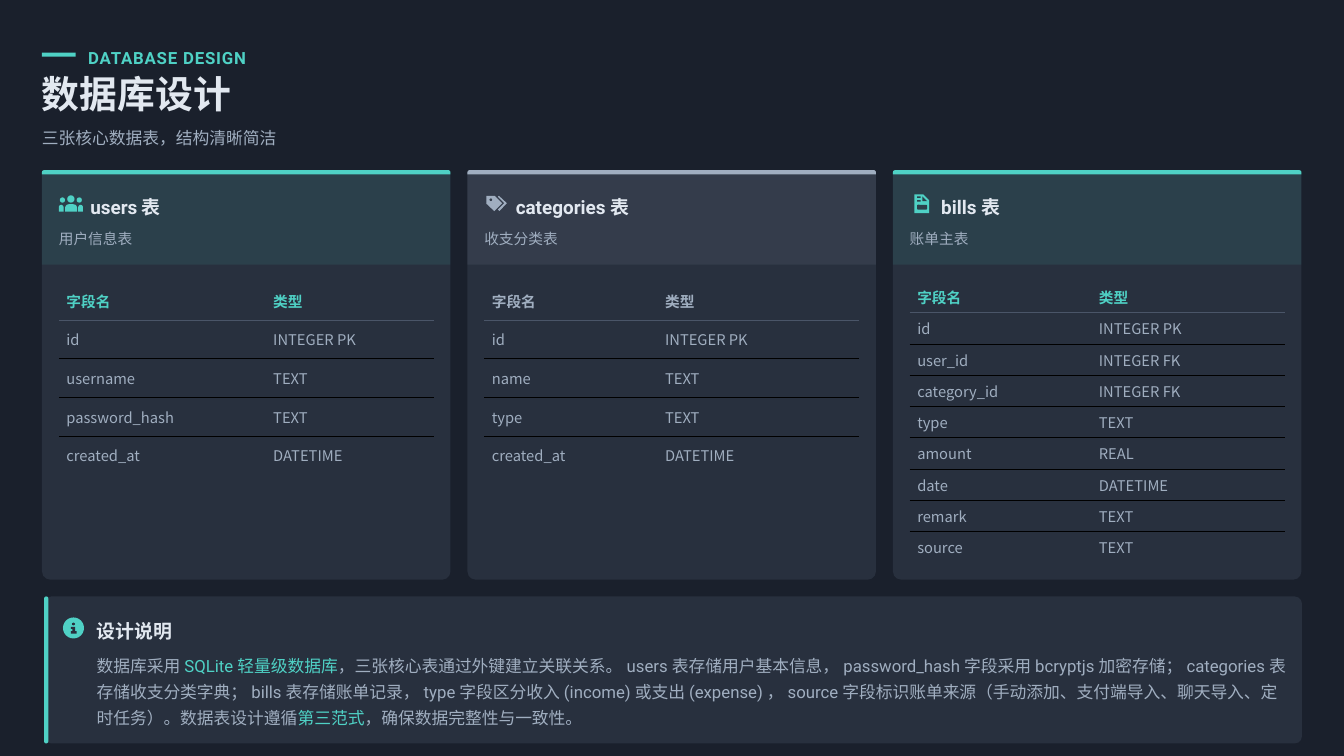
from lxml import etree
from pptx import Presentation
from pptx.dml.color import RGBColor
from pptx.enum.shapes import MSO_SHAPE as Form
from pptx.enum.text import MSO_ANCHOR as Anchor
from pptx.oxml import parse_xml
from pptx.oxml.ns import nsdecls, qn
from pptx.util import Inches, Pt

TEAL, GREY, PALE, LINE = "4FD1C5", "A0AEC0", "E2E8F0", "4A5568"
BACK, CARD = "1A202C", "28303E"
CJK = "Noto Sans CJK SC"
hue = RGBColor.from_string

deck = Presentation()
deck.slide_width, deck.slide_height = Inches(17.78), Inches(10)
unit = deck.slide_width / 1280  # the slide is a grid of 1280 columns
slide = deck.slides.add_slide(deck.slide_layouts[6])
slide.background.fill.solid()
slide.background.fill.fore_color.rgb = hue(BACK)


def draw(form, spot, tint, alpha=100, bends=()):
    """Add a preset at (x, y, w, h), or a polygon through spot if form is None."""
    if form is None:
        pts = [(round(x * unit), round(y * unit)) for x, y in spot]
        pen = slide.shapes.build_freeform(*pts[0], scale=1.0)
        pen.add_line_segments(pts[1:], close=True)
        shape = pen.convert_to_shape()
    else:
        shape = slide.shapes.add_shape(form, *(round(v * unit) for v in spot))
    for i, bend in enumerate(bends):
        shape.adjustments[i] = bend
    shape.shadow.inherit = False
    shape.line.fill.background()
    shape.fill.solid()
    shape.fill.fore_color.rgb = hue(tint)
    if alpha < 100:
        mark = shape.fill._xPr.find(".//" + qn("a:srgbClr"))
        etree.SubElement(mark, qn("a:alpha"), val=str(alpha * 1000))


def write(frame, runs, size, bold=False, face="Roboto", gap=None, spread=0):
    """Put (text, colour) runs into the first paragraph of a frame."""
    para = frame.paragraphs[0]
    para.line_spacing = gap
    for words, tint in runs:
        run = para.add_run()
        run.text = words
        look = {"size": Pt(size), "bold": bold, "name": face}
        for key, val in look.items():
            setattr(run.font, key, val)
        run.font.color.rgb = hue(tint)
        props = run.font._element
        etree.SubElement(props, qn("a:ea"), typeface=CJK)
        if spread:
            props.set("spc", str(spread))


cards = [
    ("users", "用户信息表", TEAL, 30, (197, 160), 36.8,
     ["id INTEGER PK", "username TEXT", "password_hash TEXT", "created_at DATETIME"]),
    ("categories", "收支分类表", GREY, 30, (165, 192), 36.8,
     ["id INTEGER PK", "name TEXT", "type TEXT", "created_at DATETIME"]),
    ("bills", "账单主表", TEAL, 30, (173, 184), 29.8,
     ["id INTEGER PK", "user_id INTEGER FK", "category_id INTEGER FK", "type TEXT",
      "amount REAL", "date DATETIME", "remark TEXT", "source TEXT"]),
]
LEFT, TOP, WIDE, TALL, STEP = 40, 162, 389, 390, 405.2
DOME = Form.ROUND_2_SAME_RECTANGLE

# Icon parts, measured from the corner of their card; True marks a cut-out
icons = {
    "users": [
        (Form.OVAL, (24, 24, 7, 7), False), (Form.OVAL, (17, 26, 5, 5), False),
        (Form.OVAL, (33, 26, 5, 5), False), (DOME, (22, 32.5, 11.5, 7), False),
        (DOME, (16, 33, 4.5, 6.5), False), (DOME, (34.5, 33, 4.5, 6.5), False)],
    "categories": [
        (None, [(18, 24.5), (26, 24.5), (33, 31.5), (25.5, 39), (18, 32)], False),
        (Form.OVAL, (21, 27, 2.5, 2.5), True),
        (None, [(30, 24.5), (37.5, 31.5), (30.5, 39), (29, 37.5), (35, 31.5),
                (29, 25.5)], False)],
    "bills": [
        (Form.SNIP_1_RECTANGLE, (20.5, 23, 14, 18), False),
        (None, [(28, 25), (28, 29.5), (32.5, 29.5)], True),
        (Form.RECTANGLE, (23, 25, 3.5, 1.5), True),
        (Form.RECTANGLE, (23, 28.5, 3.5, 1.5), True),
        (Form.ROUNDED_RECTANGLE, (23, 33, 9.5, 4.5), True)],
}

# Heading rule, note panel and its sign
draw(Form.RECTANGLE, (40, 50, 32, 4), TEAL)
draw(Form.ROUNDED_RECTANGLE, (42, 568, 1198, 140), LINE, 30, (0.05,))
draw(Form.ROUNDED_RECTANGLE, (42, 568, 4, 140), TEAL, 100, (0.5,))
draw(Form.OVAL, (60, 588, 20, 20), TEAL)
draw(Form.OVAL, (68.5, 593, 3, 2.5), CARD)
draw(None, [(67.5, 597), (71.5, 597), (71.5, 601), (73, 601), (73, 603.5),
            (67.5, 603.5), (67.5, 601), (69, 601), (69, 599), (67.5, 599)], CARD)

note = [
    ("数据库采用", GREY), ("SQLite轻量级数据库", TEAL),
    ("，三张核心表通过外键建立关联关系。users表存储用户基本信息，"
     "password_hash字段采用bcryptjs加密存储；categories表存储收支分类字典；"
     "bills表存储账单记录，type字段区分收入(income)或支出(expense)，"
     "source字段标识账单来源（手动添加、支付端导入、聊天导入、定时任务）。"
     "数据表设计遵循", GREY),
    ("第三范式", TEAL), ("，确保数据完整性与一致性。", GREY)]
texts = [
    ((84, 40, 166, 24), [("DATABASE DESIGN", TEAL)], 16, True, 1.3, 80),
    ((40, 72, 1218, 40), [("数据库设计", PALE)], 36, True, 0.9, 0),
    ((40, 116, 1208, 24), [("三张核心数据表，结构清晰简洁", GREY)], 16, False, 1.3, 0),
    ((92, 584, 1141, 28), [("设计说明", PALE)], 18, True, 1.3, 0),
    ((92, 620, 1140, 72), note, 16, False, 1.3, 0),
]

for num, (name, about, tint, alpha, cols, high, fields) in enumerate(cards):
    left = LEFT + num * STEP
    draw(DOME, (left, TOP, WIDE, TALL), LINE, alpha, (0.01, 0.02))
    draw(DOME, (left, TOP, WIDE, 4), tint, 100, (0.5, 0))
    draw(Form.RECTANGLE, (left, TOP + 2, WIDE, 88), tint, 10)
    hole = "343D4B" if tint == GREY else "2C404B"
    for form, spot, cut in icons[name]:
        if form is None:
            spot = [(left + x, TOP + y) for x, y in spot]
        else:
            spot = (left + spot[0], TOP + spot[1], *spot[2:])
        bends = {DOME: (0.5, 0), Form.SNIP_1_RECTANGLE: (0.4,)}.get(form, ())
        draw(form, spot, hole if cut else tint, 100, bends)
    texts += [
        ((left + 46, 180, 113, 28), [(name + "表", PALE)], 18, True, 1.3, 0),
        ((left + 16, 216, 364, 20), [(about, GREY)], 14, False, 1.2, 0)]

    rows = [("字段名", "类型")] + [field.split(" ", 1) for field in fields]
    spot = (left + 16, 268, sum(cols), high * len(rows))
    frame = slide.shapes.add_table(len(rows), 2, *(round(v * unit) for v in spot))
    grid = frame.table
    grid.first_row = grid.horz_banding = False
    for col, wide in zip(grid.columns, cols):
        col.width = round(wide * unit)
    for r, row in enumerate(rows):
        grid.rows[r].height = round(high * unit)
        for c, words in enumerate(row):
            cell = grid.cell(r, c)
            cell.vertical_anchor = Anchor.MIDDLE
            cell.fill.background()
            write(cell.text_frame, [(words, GREY if r else tint)], 14, r == 0, CJK)
            props = cell._tc.get_or_add_tcPr()
            edges = {"lnL": None, "lnR": None,
                     "lnT": None if r == 0 else LINE if r == 1 else "000000",
                     "lnB": None if r == len(rows) - 1 else "000000" if r else LINE}
            for i, (edge, ink) in enumerate(edges.items()):
                fill = (f'<a:solidFill><a:srgbClr val="{ink}"/></a:solidFill>'
                        if ink else "<a:noFill/>")
                props.insert(i, parse_xml(
                    f'<a:{edge} {nsdecls("a")} w="12700">{fill}</a:{edge}>'))

for spot, runs, size, bold, gap, spread in texts:
    box = slide.shapes.add_textbox(*(round(v * unit) for v in spot)).text_frame
    look = {"margin_left": 0, "margin_right": 0, "margin_top": 0, "margin_bottom": 0,
            "vertical_anchor": Anchor.MIDDLE, "word_wrap": runs is note}
    for key, val in look.items():
        setattr(box, key, val)
    write(box, runs, size, bold, gap=gap, spread=spread)

deck.save("out.pptx")
